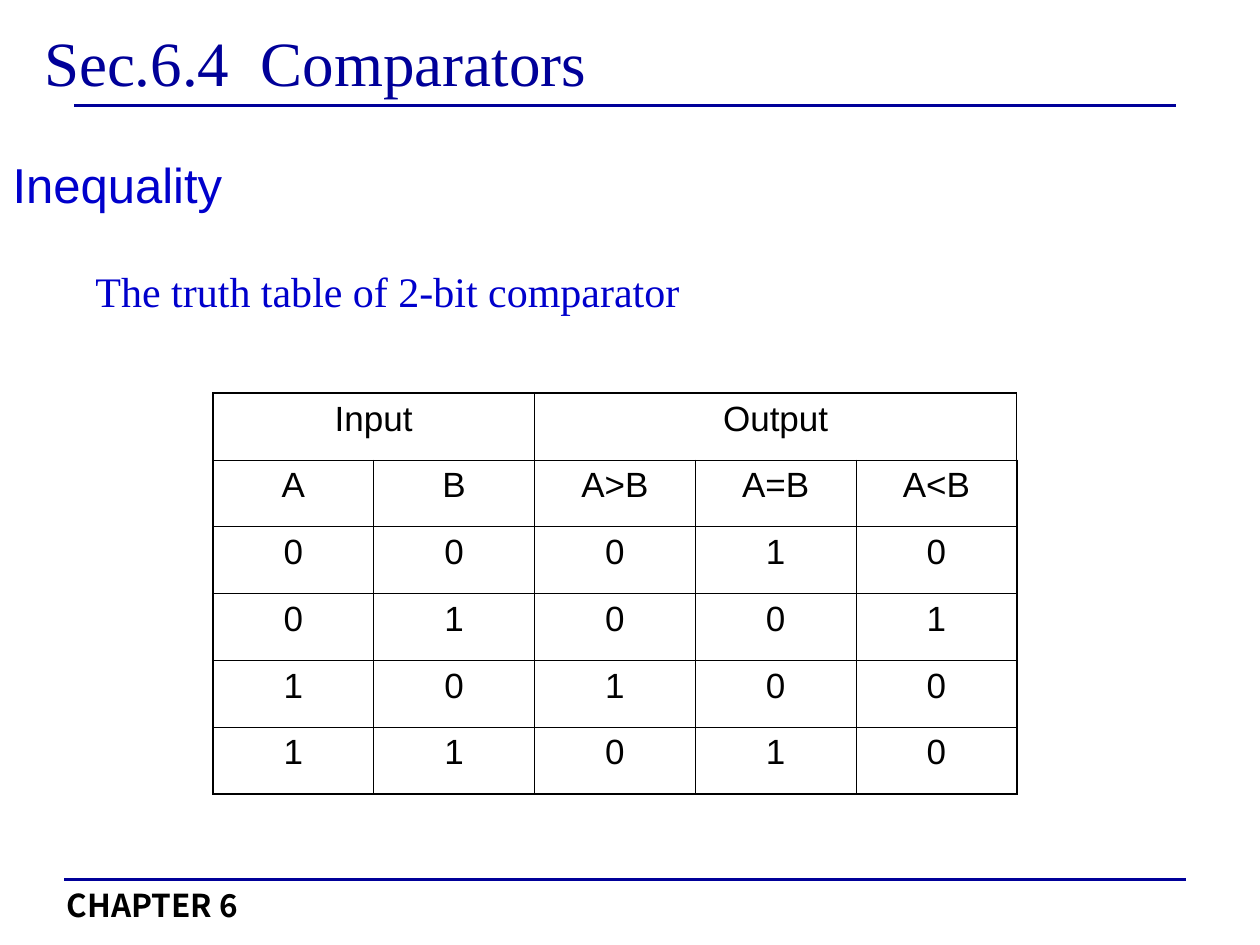
from dataclasses import dataclass

from lxml.etree import SubElement
from pptx import Presentation
from pptx.dml.color import RGBColor as RGB
from pptx.enum.shapes import MSO_CONNECTOR as CONN
from pptx.enum.text import MSO_ANCHOR as ANCHOR, MSO_AUTO_SIZE as AUTO, PP_ALIGN as ALIGN
from pptx.oxml.ns import qn
from pptx.util import Inches, Pt


@dataclass(frozen=True)
class Theme:
    navy: str = "000099"
    blue: str = "0000CC"
    black: str = "000000"
    serif: str = "Times New Roman"
    sans: str = "Arial"
    footer: str = "Noto Sans CJK SC"
    title_size: int = 36
    heading_size: int = 28
    text_size: int = 24
    cell_size: int = 20
    footer_size: int = 18
    rule: float = 1.5
    outer_border: float = 1.08
    inner_border: float = 0.45


T = Theme()

HEADERS = [["Input", "", "Output", "", ""],
           ["A", "B", "A>B", "A=B", "A<B"]]
INPUTS = [(0, 0), (0, 1), (1, 0), (1, 1)]


def write(tf, text, font, size, color, bold=False, align=ALIGN.LEFT, spacing=1.0, indent=0):
    p = tf.paragraphs[0]
    p.text = text
    p.alignment = align
    p.line_spacing = spacing
    p.space_before = Pt(0)
    pPr = p._p.get_or_add_pPr()
    pPr.set("marL", str(Inches(indent)))
    pPr.set("indent", "0")
    p.font.name = font
    p.font.size = Pt(size)
    p.font.bold = bold
    p.font.color.rgb = RGB.from_string(color)


def place(sp, x, y, w, h, anchor=ANCHOR.TOP):
    sp.left, sp.top, sp.width, sp.height = map(Inches, (x, y, w, h))
    tf = sp.text_frame
    tf.word_wrap = True
    tf.auto_size = AUTO.NONE
    tf.vertical_anchor = anchor
    return tf


def add_text(s, x, y, w, h):
    box = s.shapes.add_textbox(0, 0, 0, 0)
    return place(box, x, y, w, h)


def add_rule(s, x1, x2, y):
    line = s.shapes.add_connector(CONN.STRAIGHT, Inches(x1), Inches(y), Inches(x2), Inches(y))
    line.line.color.rgb = RGB.from_string(T.navy)
    line.line.width = Pt(T.rule)
    SubElement(line._element.spPr, qn("a:effectLst"))


def set_border(cell, side, width):
    ln = SubElement(cell._tc.get_or_add_tcPr(), qn(f"a:ln{side}"), w=str(Pt(width)))
    fill = SubElement(ln, qn("a:solidFill"))
    SubElement(fill, qn("a:srgbClr"), val=T.black)


def add_truth_table(s, x, y, col_w, row_h):
    rows = HEADERS + [[a, b, int(a > b), int(a == b), int(a < b)] for a, b in INPUTS]
    n_rows, n_cols = len(rows), len(rows[0])
    table = s.shapes.add_table(n_rows, n_cols, Inches(x), Inches(y),
                               Inches(col_w * n_cols), Inches(row_h * n_rows)).table
    table.first_row = table.horz_banding = False
    for r, values in enumerate(rows):
        for c, value in enumerate(values):
            cell = table.cell(r, c)
            write(cell.text_frame, str(value), T.sans, T.cell_size, T.black, align=ALIGN.CENTER)
            # Heavier border on the outside of the grid
            outside = {"L": c == 0, "R": c == n_cols - 1, "T": r == 0, "B": r == n_rows - 1}
            for side, is_outer in outside.items():
                set_border(cell, side, T.outer_border if is_outer else T.inner_border)
            cell.fill.background()
    # Group headings
    table.cell(0, 0).merge(table.cell(0, 1))
    table.cell(0, 2).merge(table.cell(0, 4))


def main():
    prs = Presentation()
    prs.slide_width, prs.slide_height = Inches(10), Inches(7.5)
    s = prs.slides.add_slide(prs.slide_layouts[0])

    # Title and its rule
    tf = place(s.shapes.title, 0, 0.21, 10, 0.55, ANCHOR.MIDDLE)
    write(tf, "Sec.6.4  Comparators", T.serif, T.title_size, T.navy, indent=0.25)
    add_rule(s, 0.59, 9.33, 0.84)

    # Heading and caption
    tf = place(s.placeholders[1], 0, 1.23, 10, 0.47)
    write(tf, "Inequality", T.sans, T.heading_size, T.blue, spacing=0.9)
    tf = add_text(s, 0, 1.86, 10, 0.7)
    write(tf, "The truth table of 2-bit comparator", T.serif, T.text_size, T.blue,
          spacing=1.5, indent=0.66)

    # Truth table
    add_truth_table(s, 1.69, 3.12, 1.276, 0.53)

    # Footer
    add_rule(s, 0.51, 9.41, 6.98)
    tf = add_text(s, 0.43, 6.98, 2.6, 0.4)
    write(tf, "CHAPTER 6", T.footer, T.footer_size, T.black, bold=True)

    prs.save("out.pptx")


if __name__ == "__main__":
    main()
